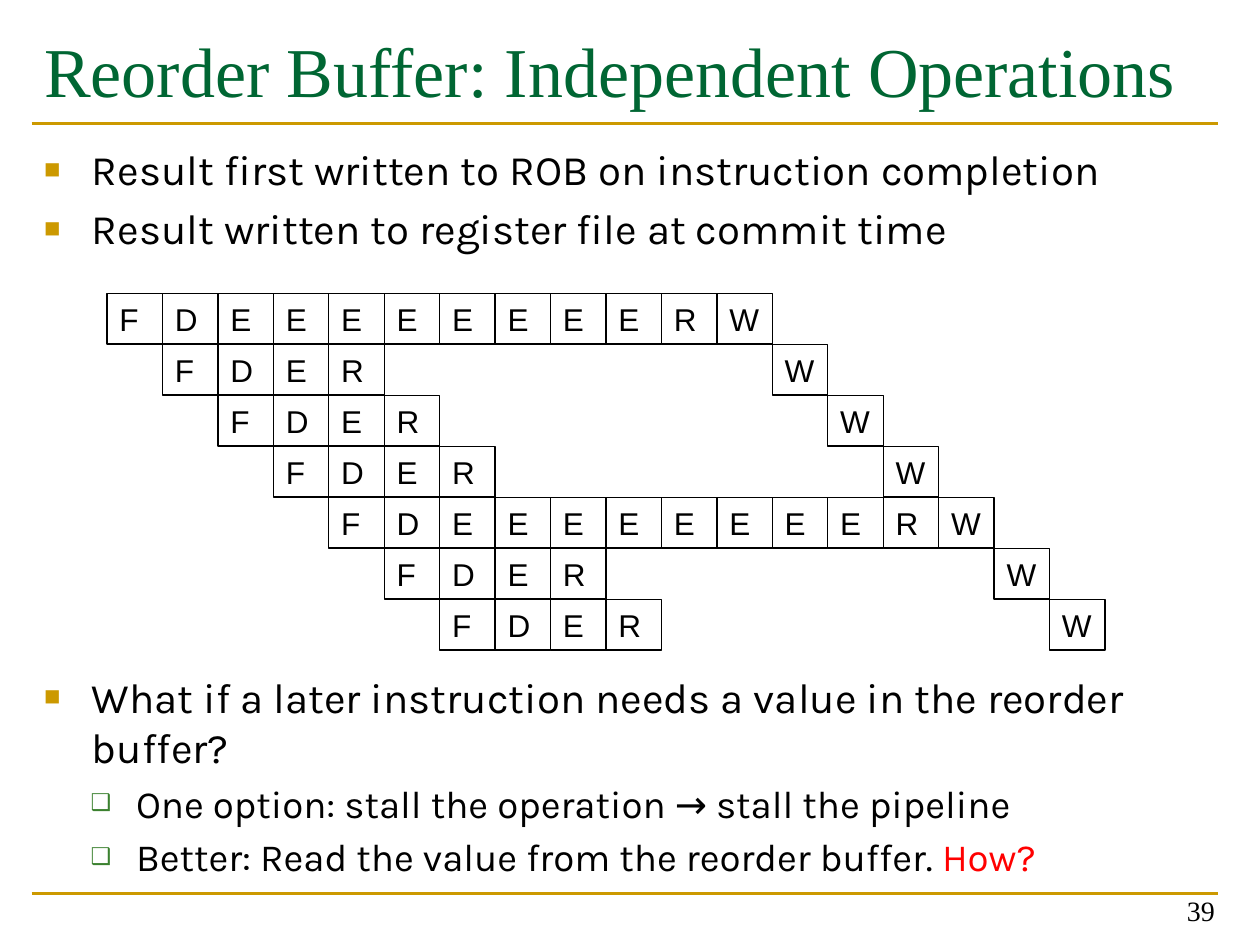
"""Build the slide on reorder buffers and independent operations."""
from dataclasses import dataclass

from lxml import etree
from pptx import Presentation
from pptx.dml.color import RGBColor
from pptx.enum.shapes import MSO_CONNECTOR, MSO_SHAPE
from pptx.enum.text import MSO_ANCHOR, MSO_AUTO_SIZE, PP_ALIGN
from pptx.oxml.ns import qn
from pptx.util import Inches, Pt

LEFT, RIGHT = PP_ALIGN.LEFT, PP_ALIGN.RIGHT
TOP, BOTTOM = MSO_ANCHOR.TOP, MSO_ANCHOR.BOTTOM
NO_FIT = MSO_AUTO_SIZE.NONE
RECTANGLE, STRAIGHT = MSO_SHAPE.RECTANGLE, MSO_CONNECTOR.STRAIGHT


@dataclass(frozen=True)
class Theme:
    green: str = "006633"
    gold: str = "CC9900"
    leaf: str = "3B812F"
    black: str = "000000"
    white: str = "FFFFFF"
    red: str = "FF0000"
    serif: str = "Times New Roman"
    sans: str = "Arial"
    body: str = "Karla"
    title_size: int = 40
    bullet_size: int = 24
    option_size: int = 22
    stage_size: int = 18
    number_size: int = 16


theme = Theme()


def style(paragraph, font_name, size, color):
    for run in paragraph.runs:
        run.font.name = font_name
        run.font.size = Pt(size)
        run.font.color.rgb = RGBColor.from_string(color)


def set_bullet(paragraph, char, color, percent, margin, hanging):
    props = paragraph._p.get_or_add_pPr()
    props.set("marL", str(Inches(margin)))
    props.set("indent", str(-Inches(hanging)))
    bullet_color = etree.SubElement(props, qn("a:buClr"))
    etree.SubElement(bullet_color, qn("a:srgbClr"), val=color)
    etree.SubElement(props, qn("a:buSzPct"), val=str(percent * 1000))
    etree.SubElement(props, qn("a:buFont"), typeface=theme.sans)
    etree.SubElement(props, qn("a:buChar"), char=char)


prs = Presentation()
prs.slide_width, prs.slide_height = Inches(10), Inches(7.5)
slide = prs.slides.add_slide(prs.slide_layouts[1])
title, body = slide.placeholders

for rule_y in (7.09, 0.98):
    rule = slide.shapes.add_connector(
        STRAIGHT, Inches(0.25), Inches(rule_y), Inches(9.67), Inches(rule_y))
    rule.line.color.rgb = RGBColor.from_string(theme.gold)
    rule.line.width = Pt(1.5)
    etree.SubElement(rule._element.spPr, qn("a:effectLst"))

title.left, title.top = Inches(0.25), Inches(0.17)
title.width, title.height = Inches(9.42), Inches(1.17)
title.text_frame.text = "Reorder Buffer: Independent Operations"
title.text_frame.auto_size = NO_FIT
title.text_frame.vertical_anchor = TOP
heading = title.text_frame.paragraphs[0]
heading.alignment = LEFT
style(heading, theme.serif, theme.title_size, theme.green)

body.left, body.top = Inches(0.25), Inches(1.09)
body.width, body.height = Inches(9.75), Inches(5.68)
points = [
    (0, 4.8, "Result first written to ROB on instruction completion"),
    (0, 4.8, "Result written to register file at commit time"),
    (0, 239, "What if a later instruction needs a value in the reorder buffer?"),
    (1, 4.4, "One option: stall the operation → stall the pipeline"),
    (1, 4.4, "Better: Read the value from the reorder buffer. "),
]
body.text_frame.text = "\n".join(text for _, _, text in points)
body.text_frame.auto_size = NO_FIT
for paragraph, (level, gap, _) in zip(body.text_frame.paragraphs, points):
    paragraph.level = level
    paragraph.space_before = Pt(gap)
    if level:
        set_bullet(paragraph, "❑", theme.leaf, 60, 0.73, 0.36)
        style(paragraph, theme.body, theme.option_size, theme.black)
    else:
        set_bullet(paragraph, "■", theme.gold, 65, 0.38, 0.38)
        style(paragraph, theme.body, theme.bullet_size, theme.black)

question = body.text_frame.paragraphs[-1].add_run()
question.text = "How?"
question.font.name = theme.body
question.font.size = Pt(theme.option_size)
question.font.color.rgb = RGBColor.from_string(theme.red)

page = slide.shapes.add_textbox(Inches(7.41), Inches(6.91), Inches(2.33), Inches(0.5))
page.text_frame.text = "39"
page.text_frame.word_wrap = True
page.text_frame.vertical_anchor = BOTTOM
page_number = page.text_frame.paragraphs[0]
page_number.alignment = RIGHT
style(page_number, theme.serif, theme.number_size, theme.black)

short_operation = "FDER"
long_operation = "FD" + "E" * 8 + "R"
operations = [long_operation] + [short_operation] * 3 + [long_operation] + [short_operation] * 2
commit_delay = len(long_operation)
cycle_width, stage_height = 0.44, 0.4
first_left, first_top, last_top = 0.85, 2.33, 4.76
row_step = (last_top - first_top) / (len(operations) - 1)

for row, operation in enumerate(operations):
    for cycle, stage in enumerate(operation.ljust(commit_delay) + "W", start=row):
        if stage == " ":
            continue
        cell = slide.shapes.add_shape(
            RECTANGLE,
            Inches(first_left + cycle * cycle_width), Inches(first_top + row * row_step),
            Inches(cycle_width), Inches(stage_height))
        cell.shadow.inherit = False
        cell.fill.solid()
        cell.fill.fore_color.rgb = RGBColor.from_string(theme.white)
        cell.line.color.rgb = RGBColor.from_string(theme.black)
        cell.line.width = Pt(0.75)
        cell.text_frame.text = stage
        cell.text_frame.vertical_anchor = TOP
        label = cell.text_frame.paragraphs[0]
        label.alignment = LEFT
        style(label, theme.sans, theme.stage_size, theme.black)

prs.save("out.pptx")
